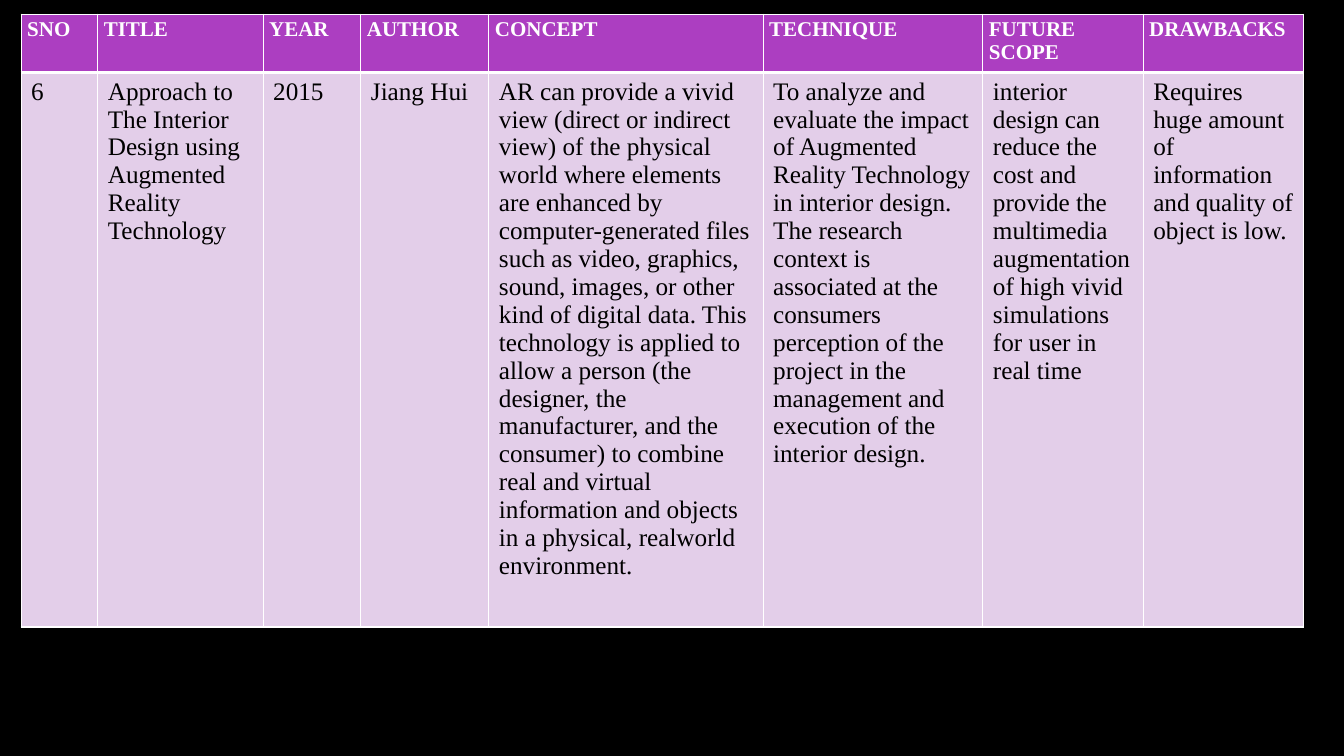
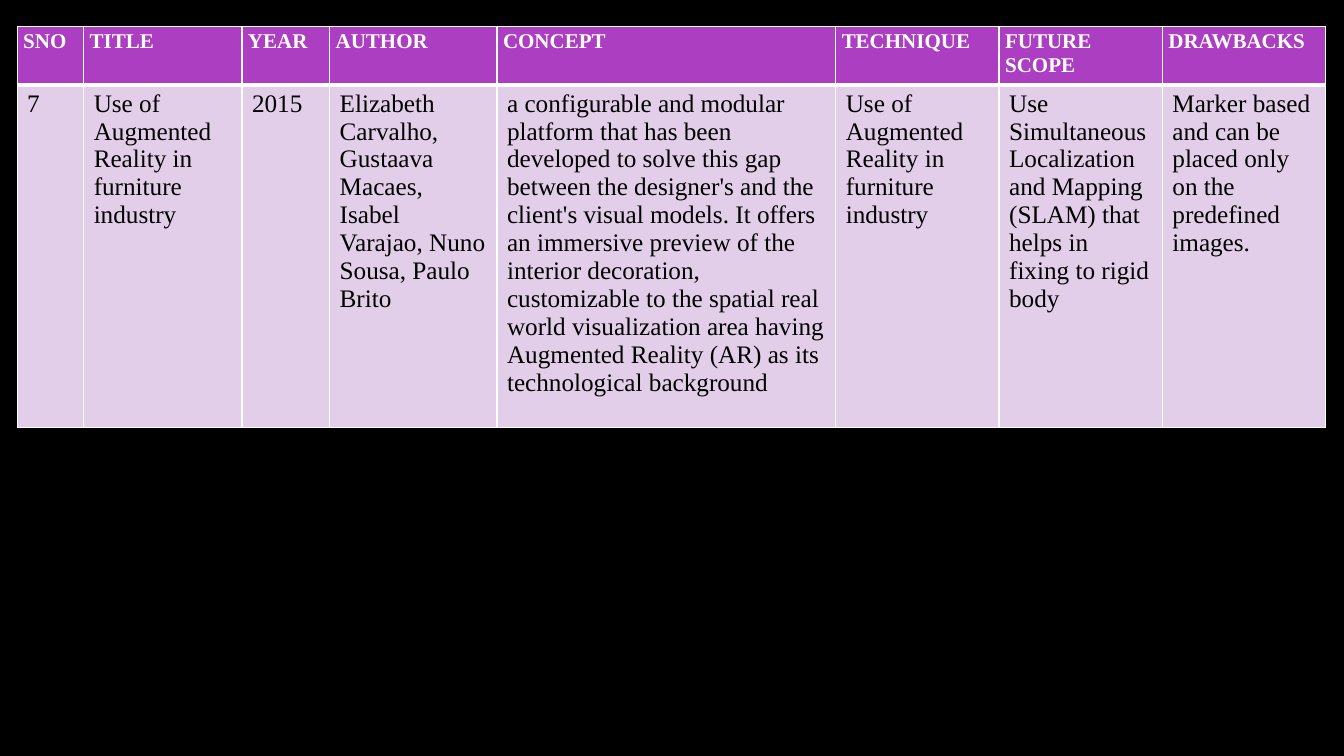
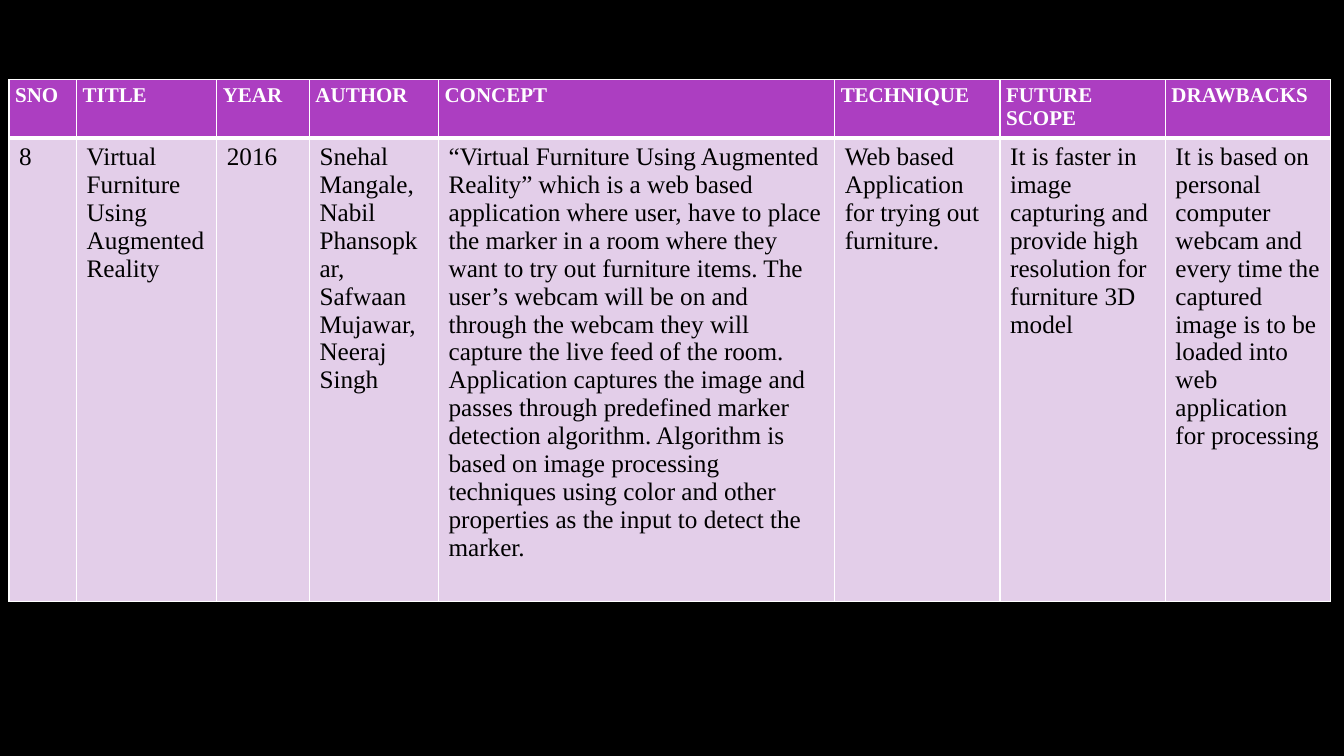
from lxml import etree
from pptx import Presentation
from pptx.dml.color import RGBColor
from pptx.oxml import ns
from pptx.util import Inches, Pt

HEADS = ["SNO", "TITLE", "YEAR", "AUTHOR", "CONCEPT", "TECHNIQUE",
         "FUTURE SCOPE", "DRAWBACKS"]

PAPERS = [
    dict(left=0.21, top=0.14, body=5.5,
         cols=[0.76, 1.64, 0.97, 1.27, 2.72, 2.18, 1.59, 1.59],
         texts=[
             "6",
             "Approach to The Interior Design using Augmented Reality Technology",
             "2015",
             "Jiang Hui",
             "AR can provide a vivid view (direct or indirect view) of the "
             "physical world where elements are enhanced by computer-generated "
             "files such as video, graphics, sound, images, or other kind of "
             "digital data. This technology is applied to allow a person (the "
             "designer, the manufacturer, and the consumer) to combine real and "
             "virtual information and objects in a physical, realworld "
             "environment.",
             "To analyze and evaluate the impact of Augmented Reality Technology "
             "in interior design. The research context is associated at the "
             "consumers perception of the project in the management and "
             "execution of the interior design.",
             "interior design can reduce the cost and provide the multimedia "
             "augmentation of high vivid simulations for user in real time",
             "Requires huge amount of information and quality of object is low.",
         ]),
    dict(left=0.17, top=0.26, body=3.4,
         cols=[0.66, 1.57, 0.87, 1.66, 3.36, 1.62, 1.62, 1.62],
         texts=[
             "7",
             "Use of Augmented Reality in furniture industry",
             "2015",
             "Elizabeth Carvalho, Gustaava Macaes, Isabel Varajao, Nuno Sousa, "
             "Paulo Brito",
             "a configurable and modular platform that has been developed to "
             "solve this gap between the designer's and the client's visual "
             "models. It offers an immersive preview of the interior "
             "decoration, customizable to the spatial real world visualization "
             "area having Augmented Reality (AR) as its technological background",
             "Use of Augmented Reality in furniture industry",
             "Use Simultaneous Localization and Mapping (SLAM) that helps in "
             "fixing to rigid body",
             "Marker based and can be placed only on the predefined images.",
         ]),
    dict(left=0.09, top=0.79, body=4.6,
         cols=[0.67, 1.39, 0.92, 1.28, 3.93, 1.64, 1.64, 1.64],
         texts=[
             "8",
             "Virtual Furniture Using Augmented Reality",
             "2016",
             "Snehal Mangale, Nabil Phansopkar, Safwaan Mujawar, Neeraj Singh",
             "“Virtual Furniture Using Augmented Reality” which is a web based "
             "application where user, have to place the marker in a room where "
             "they want to try out furniture items. The user’s webcam will be "
             "on and through the webcam they will capture the live feed of the "
             "room. Application captures the image and passes through "
             "predefined marker detection algorithm. Algorithm is based on "
             "image processing techniques using color and other properties as "
             "the input to detect the marker.",
             "Web based Application for trying out furniture.",
             "It is faster in image capturing and provide high resolution for "
             "furniture 3D model",
             "It is based on personal computer webcam and every time the "
             "captured image is to be loaded into web application for processing",
         ]),
]


def paint(fill, color):
    fill.solid()
    fill.fore_color.rgb = RGBColor.from_string(color)


class Deck:
    font = "Times New Roman"
    rule = "FFFFFF"
    head = dict(fill="AC3EC1", ink="FFFFFF", size=15, bold=True,
                pad=(0.06, 0.04), edges=dict(L=1, R=1, T=1, B=3))
    body = dict(fill="E3CEE9", ink="000000", size=18, bold=False,
                pad=(0.1, 0.05), edges=dict(L=1, R=1, T=3, B=1))

    def __init__(self):
        self.prs = Presentation()
        self.prs.slide_width = Inches(13.33)
        self.prs.slide_height = Inches(7.5)
        paint(self.prs.slide_master.background.fill, "000000")

    def page(self):
        self.slide = self.prs.slides.add_slide(self.prs.slide_layouts[6])

    def edge(self, cell, side, width):
        props = cell._tc.get_or_add_tcPr()
        line = etree.SubElement(props, ns.qn("a:ln" + side), w=str(Pt(width)))
        solid = etree.SubElement(line, ns.qn("a:solidFill"))
        etree.SubElement(solid, ns.qn("a:srgbClr"), val=self.rule)

    def cell(self, cell, words, look):
        for side, width in look["edges"].items():
            self.edge(cell, side, width)
        paint(cell.fill, look["fill"])
        wide, high = look["pad"]
        cell.margin_left = cell.margin_right = Inches(wide)
        cell.margin_top = cell.margin_bottom = Inches(high)
        run = cell.text_frame.paragraphs[0].add_run()
        run.text = words
        run.font.name = self.font
        run.font.size = Pt(look["size"])
        run.font.bold = look["bold"]
        paint(run.font.fill, look["ink"])

    def table(self, left, top, body, cols, texts):
        rows = [(0.58, HEADS, self.head), (body, texts, self.body)]
        high = sum(row[0] for row in rows)
        table = self.slide.shapes.add_table(
            len(rows), len(cols), Inches(left), Inches(top),
            Inches(sum(cols)), Inches(high)).table
        for col, width in zip(table.columns, cols):
            col.width = Inches(width)
        for row, (height, words, look) in zip(table.rows, rows):
            row.height = Inches(height)
            for cell, word in zip(row.cells, words):
                self.cell(cell, word, look)


def main():
    deck = Deck()
    for paper in PAPERS:
        deck.page()
        deck.table(**paper)
    deck.prs.save("out.pptx")


if __name__ == "__main__":
    main()
